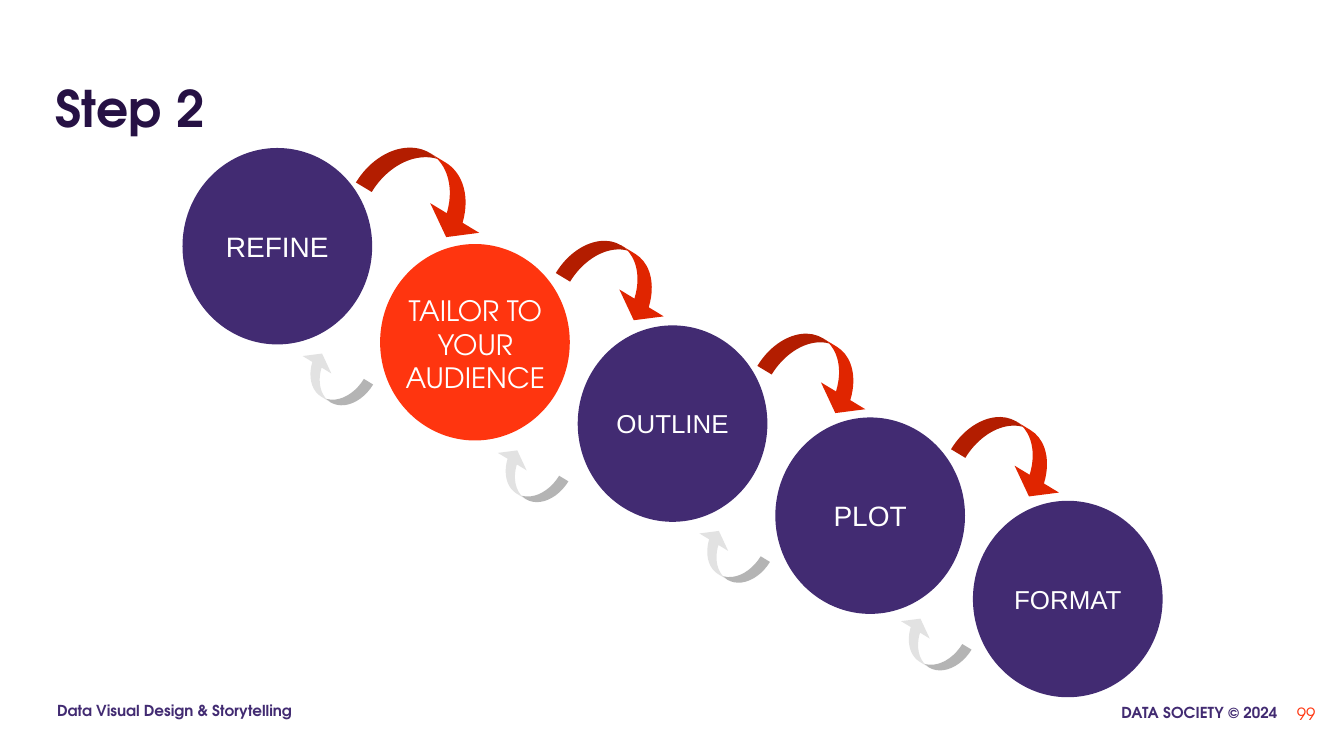
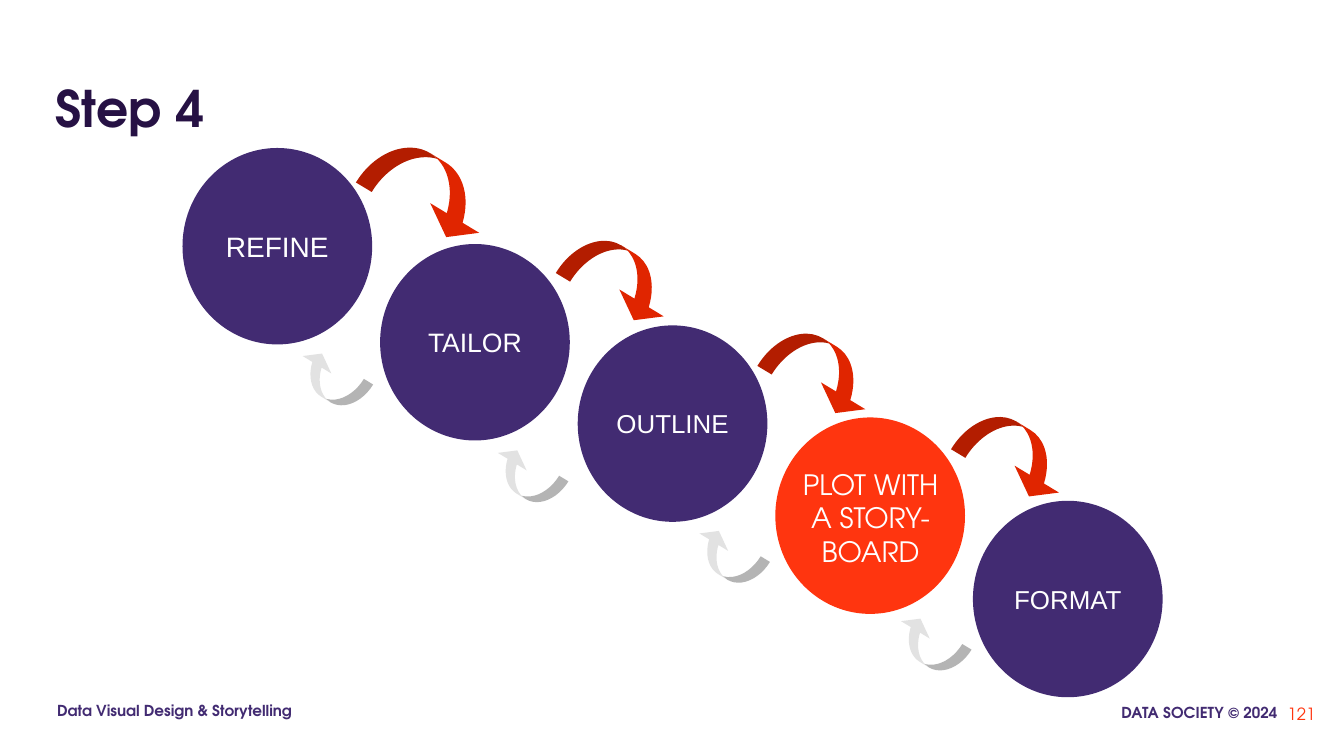
from pptx import Presentation
from pptx.dml.color import RGBColor
from pptx.enum import shapes, text
from pptx.util import Cm, Pt

# Content: title, page number, active step, labels with sizes
DECK = [
    ("Step 2", "99", 1, [("REFINE", 20), ("TAILOR TO YOUR AUDIENCE", 20),
                         ("OUTLINE", 18.5), ("PLOT", 20), ("FORMAT", 18.5)]),
    ("Step 4", "121", 3, [("REFINE", 20), ("TAILOR", 19), ("OUTLINE", 18.5),
                          ("PLOT WITH A STORY-BOARD", 20), ("FORMAT", 18.5)]),
]
COURSE = "Data Visual Design & Storytelling"
RIGHTS = "DATA SOCIETY © 2024"

# Shared style
HEAD, BODY = "TeX Gyre Adventor", "Arial"
INK, PURPLE, RED = "261144", "422B72", "FF350F"
NEXT, BACK, WHITE = "E02500", "E2E2E2", "FFFFFF"
LEFT, MID, RIGHT = text.PP_ALIGN.LEFT, text.PP_ALIGN.CENTER, text.PP_ALIGN.RIGHT
TOP, CENTER, BOTTOM = (text.MSO_ANCHOR.TOP, text.MSO_ANCHOR.MIDDLE,
                       text.MSO_ANCHOR.BOTTOM)

# Staircase geometry, in cm
START, STEP = 4.6, 4.98
TOPS = [3.73, 6.15, 8.2, 10.52, 12.62]
DISC = (4.78, 4.95)
NEXTS = [(9.14, 3.99, 3.38, 1.6), (14.17, 6.3, 2.95, 1.45),
         (19.25, 8.64, 2.95, 1.45), (24.13, 10.74, 2.95, 1.45)]
BACKS = [(x, y, 1.93, 0.94) for x, y in
         [(7.37, 9.12), (12.29, 11.56), (17.37, 13.59), (22.45, 15.8)]]
TILT, BEND = 31.2, (0.291, 0.901, 0.327)


def rgb(code):
    return RGBColor.from_string(code)


def frame(shape, anchor, side=0.25, edge=0.13):
    tf = shape.text_frame
    tf.word_wrap = True
    tf.vertical_anchor = anchor
    tf.margin_left = tf.margin_right = Cm(side)
    tf.margin_top = tf.margin_bottom = Cm(edge)


def write(shape, words, size, color, font=HEAD, bold=False, align=LEFT):
    shape.text_frame.text = words
    para = shape.text_frame.paragraphs[0]
    para.alignment = align
    face = para.runs[0].font
    face.name, face.size, face.bold = font, Pt(size), bold
    face.color.rgb = rgb(color)


def label(slide, box, words, size, color, anchor=TOP, pads=(0.25, 0.13), **style):
    shape = slide.shapes.add_textbox(*map(Cm, box))
    frame(shape, anchor, *pads)
    write(shape, words, size, color, **style)
    return shape


def draw(slide, kind, box, color):
    shape = slide.shapes.add_shape(kind, *map(Cm, box))
    shape.shadow.inherit = False
    shape.fill.solid()
    shape.fill.fore_color.rgb = rgb(color)
    shape.line.fill.background()
    return shape


def arrow(slide, box, color, turn):
    shape = draw(slide, shapes.MSO_SHAPE.CURVED_DOWN_ARROW, box, color)
    shape.rotation = turn
    for i, bend in enumerate(BEND):
        shape.adjustments[i] = bend


def disc(slide, i, words, size, active):
    x, y = START + i * STEP, TOPS[i]
    shape = draw(slide, shapes.MSO_SHAPE.OVAL, (x, y, *DISC),
                 RED if active else PURPLE)
    if active:
        label(slide, (x + 0.37, y + 1.12, 4.06, 2.82), words, size, WHITE,
              align=MID)
    else:
        frame(shape, CENTER)
        write(shape, words, size, WHITE, font=BODY, align=MID)


def set_layout(layout, slide):
    """Place the title and move the two footers onto the layout."""
    title = layout.placeholders[0]
    title.left, title.top, title.width, title.height = map(
        Cm, (1.14, 1.47, 31.55, 2.13))
    frame(title, BOTTOM)
    for box, words, align in [((26.85, 17.5, 5.64, 1.07), RIGHTS, RIGHT),
                              ((1.14, 17.45, 6.96, 1.07), COURSE, LEFT)]:
        foot = label(slide, box, words, 10.8, PURPLE, pads=(0.3, 0.3),
                     bold=True, align=align)
        layout.shapes.element.append(foot.element)


def main():
    prs = Presentation()
    prs.slide_width, prs.slide_height = Cm(33.87), Cm(19.05)
    layout = prs.slide_layouts[5]
    for n, (title, page, active, steps) in enumerate(DECK):
        slide = prs.slides.add_slide(layout)
        if n == 0:
            set_layout(layout, slide)
        write(slide.shapes.title, title, 36, INK, bold=True)
        label(slide, (31.37, 17.27, 2.03, 1.45), page, 12, RED, CENTER,
              align=RIGHT)
        for i, (words, size) in enumerate(steps):
            disc(slide, i, words, size, i == active)
        for box in NEXTS:
            arrow(slide, box, NEXT, TILT)
        for box in BACKS:
            arrow(slide, box, BACK, TILT + 180)
    prs.save("out.pptx")


if __name__ == "__main__":
    main()
